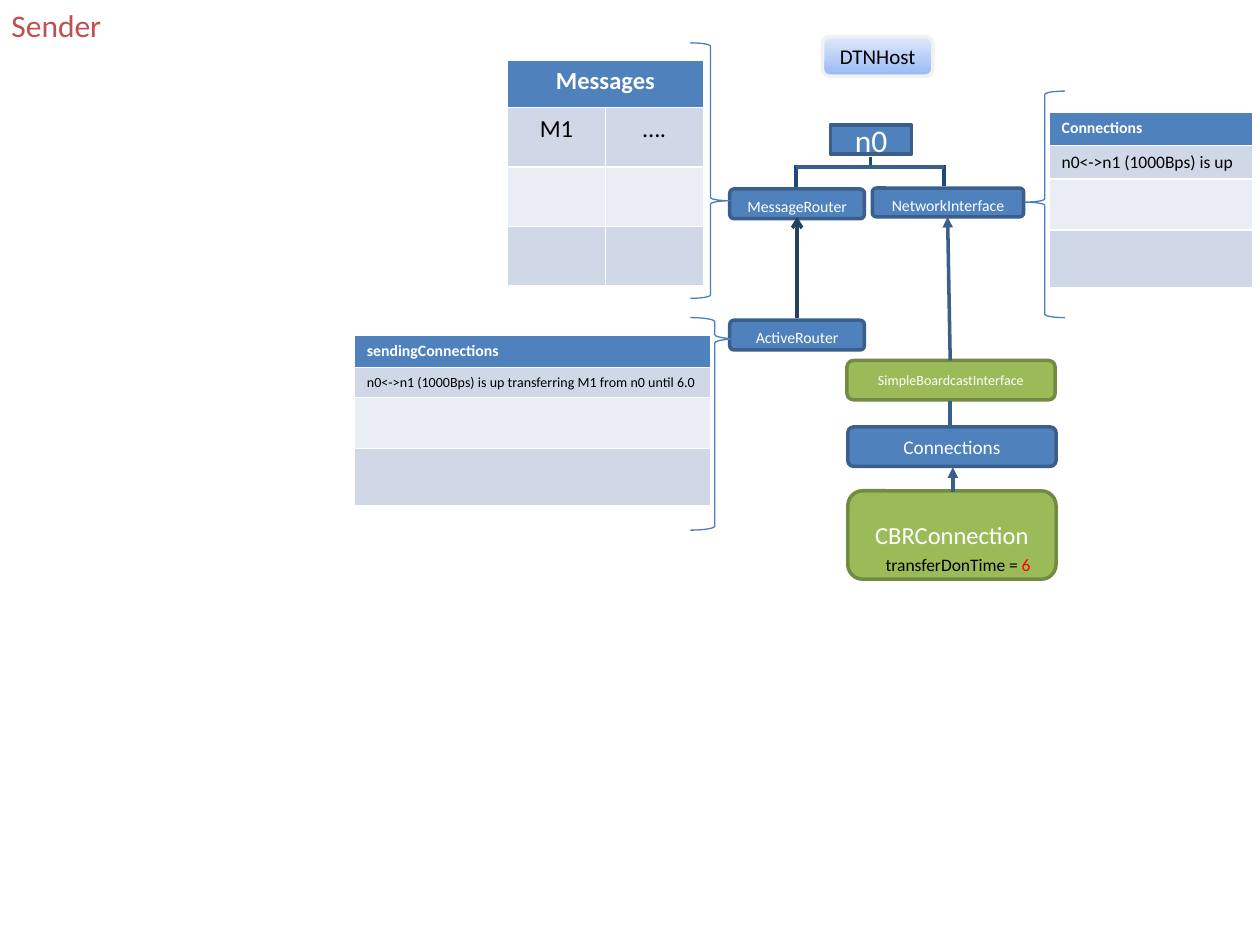
"""Build the slide showing a sender host's routers, interfaces and connections."""
from typing import NamedTuple

from lxml.etree import SubElement
from pptx import Presentation
from pptx.dml.color import RGBColor
from pptx.enum.shapes import MSO_CONNECTOR, MSO_SHAPE
from pptx.enum.text import MSO_ANCHOR as Anchor, MSO_AUTO_SIZE as AutoSize, PP_ALIGN as Align
from pptx.oxml.ns import qn
from pptx.util import Pt

FONT = "Calibri"
WHITE, BLACK, RED = "FFFFFF", "000000", "FF0000"
BLUE, BLUE_EDGE, NAVY, DEEP_NAVY = "4F81BD", "3A5F8C", "1F497D", "254061"
GREEN, GREEN_EDGE = "9BBB59", "738A42"
BRACE_EDGE, BRICK = "4B7EBC", "C0504D"
PALE, SILVER, MIST = "D0D8E8", "F2F2F2", "E9EDF4"
HOST_BOTTOM, HOST_TOP = "98B9F6", "E0E9FB"


class Node(NamedTuple):
    label: str
    left: float
    top: float
    width: float
    height: float
    size: float
    fill: str = BLUE
    edge: str = BLUE_EDGE
    ink: str = WHITE
    corner: float | None = 0.146
    anchor: Anchor = Anchor.TOP


class Brace(NamedTuple):
    left: float
    top: float
    width: float
    height: float
    point: float
    turn: float = 0


class Link(NamedTuple):
    start: tuple[float, float]
    end: tuple[float, float]
    color: str = BLUE_EDGE
    head: str = ""


class Span(NamedTuple):
    words: str
    size: float
    color: str
    bold: bool = False


class Caption(NamedTuple):
    left: float
    top: float
    width: float
    height: float
    spans: list[Span]


class Grid(NamedTuple):
    left: float
    top: float
    col_width: float
    row_heights: list[float]
    title: Span
    entries: list[Span]
    align: Align = Align.LEFT


HOST = Node("DTNHost", 470, 21, 63, 22.5, 12, HOST_BOTTOM, SILVER, BLACK, 0.167, Anchor.MIDDLE)
NODES = [
    Node("n0", 474.5, 71.5, 46.5, 16.5, 18, corner=None, anchor=Anchor.MIDDLE),
    Node("MessageRouter", 417, 108, 77, 17, 9),
    Node("NetworkInterface", 498.5, 107.5, 86.5, 16.5, 9),
    Node("ActiveRouter", 417, 183, 77, 17, 9),
    Node("Connections", 484.5, 244, 119, 22.5, 11),
    Node("SimpleBoardcastInterface", 484, 206, 119, 22.5, 8, GREEN, GREEN_EDGE,
         corner=0.167, anchor=Anchor.MIDDLE),
    Node("CBRConnection", 484.5, 280.5, 119, 50.5, 14, GREEN, GREEN_EDGE,
         corner=0.167, anchor=Anchor.MIDDLE),
]
BRACES = [
    Brace(394.5, 24.5, 23, 146, 0.618),
    Brace(585.5, 52, 23, 129.5, 0.51, 180),
    Brace(394.5, 181.5, 28, 121.5, 0.1),
]
LINKS = [
    Link((455, 94.5), (455, 107), NAVY),
    Link((539.5, 94.5), (539.5, 106.5), NAVY),
    Link((497.5, 89.5), (497.5, 96), NAVY),
    Link((455, 95.5), (503, 95.5)),
    Link((482.5, 95.5), (539.5, 95.5)),
    Link((455.5, 181.5), (455.5, 124), DEEP_NAVY, "arrow"),
    Link((543, 206), (541.5, 124), head="triangle"),
    Link((543, 229), (543, 244)),
    Link((544.5, 281), (544.5, 267), head="triangle"),
]
GRIDS = [
    Grid(290, 34.5, 56, [27, 34, 34, 34], Span("Messages", 14, WHITE, True),
         [Span("M1", 14, BLACK), Span("….", 14, BLACK)], Align.CENTER),
    Grid(599.5, 64, 116.5, [19, 18.5, 29, 33], Span("Connections", 9, WHITE, True),
         [Span("n0<->n1 (1000Bps) is up", 10, BLACK)]),
    Grid(202.5, 191.5, 203.5, [18.5, 16.5, 29, 33], Span("sendingConnections", 9, WHITE, True),
         [Span("n0<->n1 (1000Bps) is up transferring M1 from n0 until 6.0", 8, BLACK)]),
]
CAPTIONS = [
    Caption(499, 313, 98.5, 19.5, [Span("transferDonTime = ", 10, BLACK), Span("6", 10, RED)]),
    Caption(-0.5, 0, 66, 29, [Span("Sender", 18, BRICK)]),
]


def paint(target, color: str) -> None:
    target.rgb = RGBColor.from_string(color)


def fill_solid(fill, color: str) -> None:
    fill.solid()
    paint(fill.fore_color, color)


def set_line(line, color: str, width: float) -> None:
    paint(line.color, color)
    line.width = Pt(width)


def write(paragraph, spans: list[Span], align: Align = Align.LEFT) -> None:
    paragraph.alignment = align
    for span in spans:
        run = paragraph.add_run()
        run.text = span.words
        run.font.name, run.font.size, run.font.bold = FONT, Pt(span.size), span.bold
        paint(run.font.color, span.color)


def add_node(shapes, node: Node):
    preset = MSO_SHAPE.RECTANGLE if node.corner is None else MSO_SHAPE.ROUNDED_RECTANGLE
    box = shapes.add_shape(preset, *map(Pt, node[1:5]))
    box.shadow.inherit = False
    if node.corner is not None:
        box.adjustments[0] = node.corner
    fill_solid(box.fill, node.fill)
    set_line(box.line, node.edge, 2)
    box.text_frame.vertical_anchor = node.anchor
    write(box.text_frame.paragraphs[0], [Span(node.label, node.size, node.ink)], Align.CENTER)
    return box


def add_host(shapes, node: Node) -> None:
    fill = add_node(shapes, node).fill
    fill.gradient()
    fill.gradient_angle = 90
    for stop, color in zip(fill.gradient_stops, (HOST_BOTTOM, HOST_TOP)):
        paint(stop.color, color)


def add_brace(shapes, brace: Brace) -> None:
    outline = shapes.add_shape(MSO_SHAPE.RIGHT_BRACE, *map(Pt, brace[:4]))
    outline.shadow.inherit = False
    outline.adjustments[0], outline.adjustments[1] = 0.083, brace.point
    outline.rotation = brace.turn
    outline.fill.background()
    set_line(outline.line, BRACE_EDGE, 0.75)


def add_link(shapes, link: Link) -> None:
    connector = shapes.add_connector(MSO_CONNECTOR.STRAIGHT, *map(Pt, link.start + link.end))
    set_line(connector.line, link.color, 2)
    properties = connector._element.spPr
    if link.head:
        SubElement(properties.find(qn("a:ln")), qn("a:tailEnd"), type=link.head)
    SubElement(properties, qn("a:effectLst"))


def add_grid(shapes, grid: Grid) -> None:
    columns = len(grid.entries)
    table = shapes.add_table(len(grid.row_heights), columns, Pt(grid.left), Pt(grid.top),
                             Pt(grid.col_width * columns), Pt(sum(grid.row_heights))).table
    for column in table.columns:
        column.width = Pt(grid.col_width)
    for row, height, color in zip(table.rows, grid.row_heights, (BLUE, PALE, MIST, PALE)):
        row.height = Pt(height)
        for cell in row.cells:
            fill_solid(cell.fill, color)
    if columns > 1:
        table.cell(0, 0).merge(table.cell(0, columns - 1))
    write(table.cell(0, 0).text_frame.paragraphs[0], [grid.title], grid.align)
    for index, entry in enumerate(grid.entries):
        write(table.cell(1, index).text_frame.paragraphs[0], [entry], grid.align)


def add_caption(shapes, caption: Caption) -> None:
    frame = shapes.add_textbox(*map(Pt, caption[:4])).text_frame
    frame.word_wrap = False
    frame.auto_size = AutoSize.SHAPE_TO_FIT_TEXT
    write(frame.paragraphs[0], caption.spans)


def main() -> None:
    deck = Presentation()
    deck.slide_width, deck.slide_height = Pt(720), Pt(540)
    shapes = deck.slides.add_slide(deck.slide_layouts[6]).shapes
    add_host(shapes, HOST)
    for draw, items in ((add_node, NODES), (add_brace, BRACES), (add_grid, GRIDS),
                        (add_link, LINKS), (add_caption, CAPTIONS)):
        for item in items:
            draw(shapes, item)
    deck.save("out.pptx")


if __name__ == "__main__":
    main()
